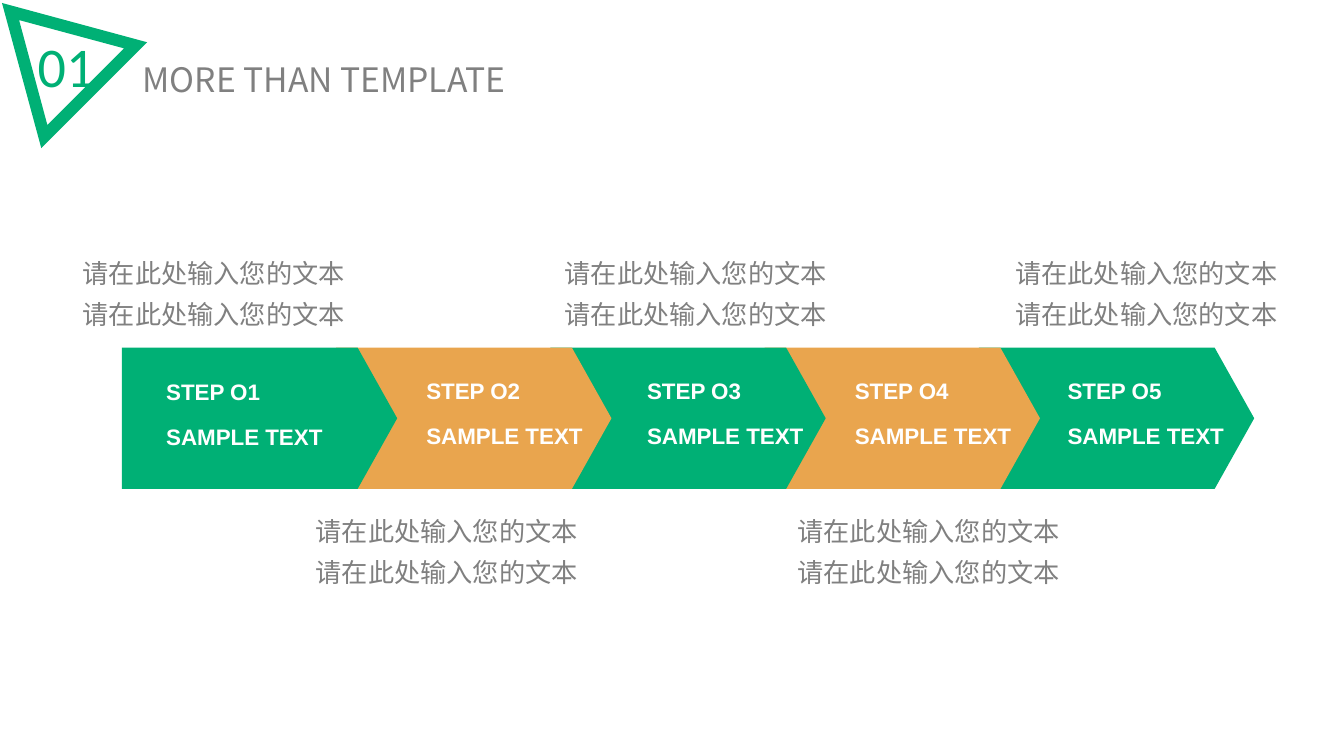
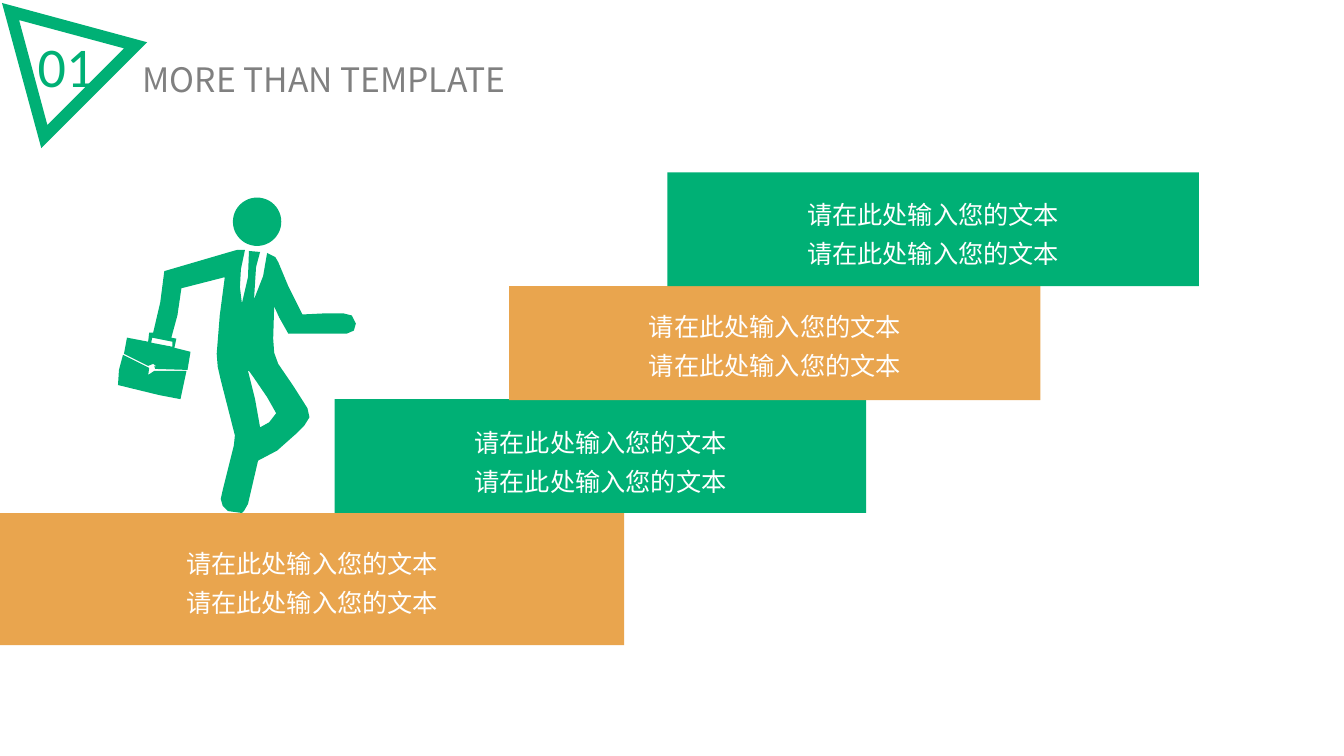
from lxml import etree
from pptx import Presentation
from pptx.dml.color import RGBColor
from pptx.enum.shapes import MSO_SHAPE
from pptx.enum.text import MSO_ANCHOR, MSO_AUTO_SIZE, PP_ALIGN
from pptx.oxml.ns import qn
from pptx.util import Inches, Pt

GREEN = RGBColor(0x00, 0xB0, 0x75)
ORANGE = RGBColor(0xE9, 0xA5, 0x4E)
GRAY = RGBColor(0x80, 0x80, 0x80)
WHITE = RGBColor(0xFF, 0xFF, 0xFF)
CJK = "Noto Sans CJK SC"
CAPTION = ["请在此处输入您的文本"] * 2


def add_text(s, box, lines, size, color, font=CJK, bold=False, wrap=True,
             align=PP_ALIGN.CENTER, anchor=MSO_ANCHOR.TOP, spacing=1.0):
    tf = s.shapes.add_textbox(*[Inches(v) for v in box]).text_frame
    tf.word_wrap = wrap
    tf.auto_size = MSO_AUTO_SIZE.SHAPE_TO_FIT_TEXT
    tf.vertical_anchor = anchor
    for i, line in enumerate(lines):
        p = tf.add_paragraph() if i else tf.paragraphs[0]
        p.alignment = align
        p.line_spacing = spacing
        r = p.add_run()
        r.text = line
        r.font.size = Pt(size)
        r.font.bold = bold
        r.font.color.rgb = color
        r.font.name = font
        etree.SubElement(r.font._element, qn("a:ea"), typeface=font)


def add_solid(shapes, color, box=None, preset=None, contours=()):
    if preset is not None:
        sp = shapes.add_shape(preset, *[Inches(v) for v in box])
    else:
        outline = None
        for contour in contours:
            pts = [(Inches(x), Inches(y)) for x, y in contour]
            if outline is None:
                outline = shapes.build_freeform(*pts[0])
            else:
                outline.move_to(*pts[0])
            outline.add_line_segments(pts[1:], close=True)
        sp = outline.convert_to_shape()
    sp.shadow.inherit = False
    sp.fill.solid()
    sp.fill.fore_color.rgb = color
    sp.line.fill.background()
    return sp


prs = Presentation()
prs.slide_width = Inches(13.33)
prs.slide_height = Inches(7.5)

TRIANGLE = [
    [(0.19, 0.2), (0.47, 1.24), (1.23, 0.48)],
    [(0.02, 0.03), (1.46, 0.42), (0.41, 1.47)],
]
slides = []
for _ in range(2):
    s = prs.slides.add_slide(prs.slide_layouts[6])
    add_text(s, (0.27, 0.26, 0.77, 0.77), ["01"], 40, GREEN, font="Calibri",
             wrap=False, anchor=MSO_ANCHOR.MIDDLE)
    add_solid(s.shapes, GREEN, contours=TRIANGLE)
    add_text(s, (0.81, 0.53, 4.81, 0.51), ["MORE THAN TEMPLATE"], 24, GRAY,
             anchor=MSO_ANCHOR.MIDDLE)
    slides.append(s)
process, stairs = slides

PITCH = 8.5 / 4
label_lefts = [1.55, 4.13, 6.32, 8.38, 10.49]
caption_lefts = [0.66, 2.97, 5.44, 7.75, 9.91]
for i in reversed(range(5)):
    sp = add_solid(process.shapes, ORANGE if i % 2 else GREEN,
                   (1.21 + PITCH * i, 3.45, 2.73, 1.4), MSO_SHAPE.PENTAGON)
    sp.adjustments[0] = 0.28
    top = 3.69 if i else 3.7
    for row, (label, width) in enumerate([(f"STEP O{i + 1}", 1.14),
                                          ("SAMPLE TEXT", 1.77)]):
        add_text(process, (label_lefts[i], top + 0.45 * row, width, 0.37),
                 [label], 16, WHITE, font="Arial", bold=True, wrap=False,
                 align=PP_ALIGN.LEFT)
for i, left in enumerate(caption_lefts):
    add_text(process, (left, 4.97 if i % 2 else 2.41, 2.92, 0.92), CAPTION,
             18.7, GRAY, spacing=1.3)

BODY = [
    (2.28, 2.5), (2.35, 2.48), (2.43, 2.48), (2.39, 2.67), (2.38, 2.85),
    (2.4, 3.01), (2.46, 2.75), (2.47, 2.49), (2.58, 2.5), (2.54, 2.65),
    (2.52, 2.97), (2.61, 2.74), (2.65, 2.51), (2.73, 2.55), (2.76, 2.6),
    (2.86, 2.84), (3, 3.12), (3.2, 3.11), (3.41, 3.11), (3.49, 3.13),
    (3.53, 3.21), (3.51, 3.28), (3.44, 3.31), (2.86, 3.31), (2.77, 3.15),
    (2.72, 3.04), (2.71, 3.36), (2.72, 3.5), (2.76, 3.61), (2.91, 3.83),
    (3.05, 4.05), (3.07, 4.14), (3.02, 4.22), (2.93, 4.31), (2.75, 4.47),
    (2.56, 4.57), (2.46, 5), (2.42, 5.07), (2.4, 5.09), (2.26, 5.07),
    (2.21, 5.02), (2.19, 4.95), (2.21, 4.86), (2.32, 4.42), (2.33, 4.32),
    (2.3, 4.2), (2.19, 3.77), (2.16, 3.64), (2.15, 3.51), (2.18, 3.13),
    (2.23, 2.75), (1.8, 2.86), (1.76, 3.13), (1.7, 3.35), (1.75, 3.36),
    (1.73, 3.45), (1.89, 3.49), (1.86, 3.67), (1.54, 3.66), (1.53, 3.63),
    (1.56, 3.64), (1.52, 3.61), (1.47, 3.63), (1.23, 3.51), (1.26, 3.35),
    (1.47, 3.39), (1.48, 3.3), (1.52, 3.3), (1.59, 3), (1.63, 2.69),
]
HANDLE_GAP = [(1.5, 3.4), (1.71, 3.44), (1.71, 3.39), (1.51, 3.35)]
LEG_GAP = [(2.46, 3.68), (2.53, 3.96), (2.58, 4.24), (2.67, 4.19),
           (2.74, 4.1), (2.65, 3.94), (2.52, 3.75), (2.47, 3.68)]
CASE = [(1.22, 3.52), (1.48, 3.65), (1.47, 3.72), (1.53, 3.68), (1.85, 3.68),
        (1.79, 3.96), (1.58, 3.92), (1.17, 3.82), (1.18, 3.67)]
climber = stairs.shapes.add_group_shape().shapes
add_solid(climber, GREEN, contours=[BODY, HANDLE_GAP, LEG_GAP])
add_solid(climber, GREEN, contours=[CASE])
add_solid(climber, GREEN, (2.31, 1.96, 0.48, 0.48), MSO_SHAPE.OVAL)

TEXT_W = 6.19
stair_bars = [
    (0, 5.09, TEXT_W, 1.31, 5.3),
    (3.32, 3.96, 5.27, 1.13, 4.1),
    (5.05, 2.84, 5.27, 1.13, 2.95),
    (6.62, 1.71, 5.27, 1.13, 1.84),
]
for i, (x, y, w, h, text_top) in enumerate(stair_bars):
    add_solid(stairs.shapes, GREEN if i % 2 else ORANGE, (x, y, w, h),
              MSO_SHAPE.RECTANGLE)
    add_text(stairs, (x + (w - TEXT_W) / 2, text_top, TEXT_W, 0.89), CAPTION,
             18, WHITE, spacing=1.3)

prs.save("out.pptx")
